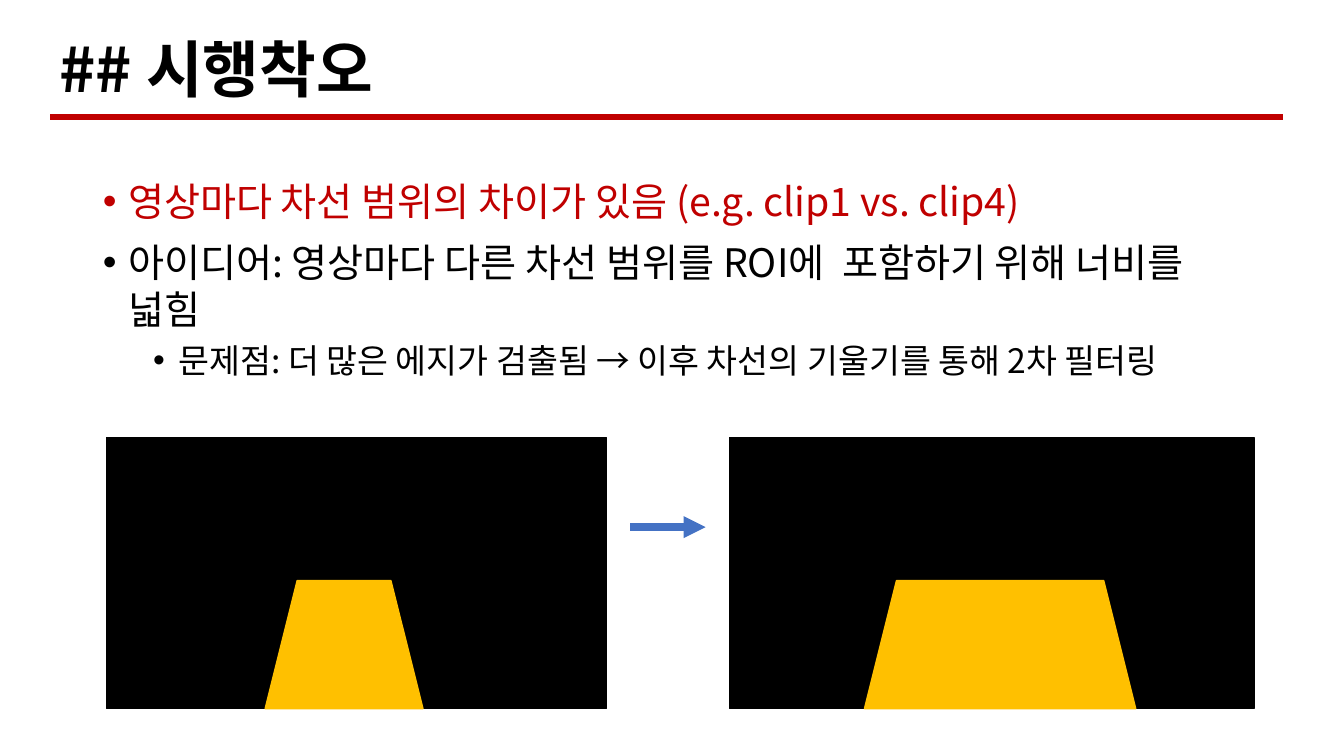
from lxml import etree
from pptx import Presentation
from pptx import util as u
from pptx.dml.color import RGBColor
from pptx.enum import shapes, text
from pptx.oxml.ns import qn

FONT = "Noto Sans CJK KR"
BLACK = RGBColor(0x00, 0x00, 0x00)
RED = RGBColor(0xC0, 0x00, 0x00)
AMBER = RGBColor(0xFF, 0xC0, 0x00)
BLUE = RGBColor(0x44, 0x72, 0xC4)

WIDTH, HEIGHT = u.Inches(13.33), u.Inches(7.5)
TEXT_WIDTH = 86.27
PANEL_TOP, PANEL_BOTTOM, LANE_TOP = 57.87, 93.73, 76.8

# text, level, size, colour, space before, left margin in inches
BULLETS = [
    ("영상마다 차선 범위의 차이가 있음 (e.g. clip1 vs. clip4)", 0, 28, RED, 0, 0.25),
    ("아이디어: 영상마다 다른 차선 범위를 ROI에  포함하기 위해 너비를 넓힘",
     0, 28, BLACK, 10, 0.25),
    ("문제점: 더 많은 에지가 검출됨 → 이후 차선의 기울기를 통해 2차 필터링",
     1, 24, BLACK, 5, 0.75),
]
# panel left, panel width, lane left, lane width
REGIONS = [(7.92, 37.2, 19.73, 11.74), (54.28, 39.04, 64.32, 20.18)]


def x(share):
    return int(WIDTH * share / 100)


def y(share):
    return int(HEIGHT * share / 100)


def place(sp, left, top, width, height):
    """Position a shape in percent of the slide."""
    box = {"left": x(left), "top": y(top), "width": x(width), "height": y(height)}
    for name, value in box.items():
        setattr(sp, name, value)


def write(p, words, color, **formats):
    r = p.add_run()
    r.text = words
    for name, value in {"name": FONT, **formats}.items():
        setattr(r.font, name, value)
    r.font.color.rgb = color
    return r


def add_title(s, words):
    sp = s.shapes.title
    place(sp, 3.68, 0, TEXT_WIDTH, 19.2)
    tf = sp.text_frame
    tf.auto_size = text.MSO_AUTO_SIZE.NONE
    tf.vertical_anchor = text.MSO_ANCHOR.MIDDLE
    p = tf.paragraphs[0]
    p.alignment = text.PP_ALIGN.LEFT
    p.line_spacing = 0.9
    r = write(p, words, BLACK, size=u.Pt(44), bold=True)
    etree.SubElement(r.font._element, qn("a:ea"), typeface=FONT)


def add_bullets(s, bullets):
    sp = s.placeholders[1]
    place(sp, 6.9, 22.8, TEXT_WIDTH, 63.47)
    tf = sp.text_frame
    tf.auto_size = text.MSO_AUTO_SIZE.NONE
    for i, (words, level, size, color, before, margin) in enumerate(bullets):
        p = tf.add_paragraph() if i else tf.paragraphs[0]
        pPr = p._p.get_or_add_pPr()
        pPr.set("marL", str(u.Inches(margin)))
        pPr.set("indent", str(u.Inches(-0.25)))
        etree.SubElement(pPr, qn("a:buFont"), typeface="Arial")
        etree.SubElement(pPr, qn("a:buChar"), char="•")
        formats = {"level": level, "alignment": text.PP_ALIGN.LEFT,
                   "line_spacing": 1.0, "space_before": u.Pt(before)}
        for name, value in formats.items():
            setattr(p, name, value)
        write(p, words, color, size=u.Pt(size))


def add_block(s, kind, left, top, width, color):
    """Add a solid shape that stands on the common bottom edge."""
    sp = s.shapes.add_shape(kind, 0, 0, 0, 0)
    place(sp, left, top, width, PANEL_BOTTOM - top)
    sp.shadow.inherit = False
    sp.fill.solid()
    sp.fill.fore_color.rgb = color
    sp.line.color.rgb = color
    sp.line.width = u.Pt(1)


def add_line(s, start, end, level, color, weight, arrow=False):
    sp = s.shapes.add_connector(shapes.MSO_CONNECTOR.STRAIGHT,
                                x(start), y(level), x(end), y(level))
    sp.line.color.rgb = color
    sp.line.width = u.Pt(weight)
    if arrow:
        etree.SubElement(sp.line._get_or_add_ln(), qn("a:tailEnd"), type="triangle")
    etree.SubElement(sp._element.spPr, qn("a:effectLst"))


def main():
    prs = Presentation()
    prs.slide_width, prs.slide_height = WIDTH, HEIGHT
    s = prs.slides.add_slide(prs.slide_layouts[1])
    add_title(s, "## 시행착오")
    add_line(s, 3.73, 95.46, 15.47, RED, 4)
    for panel_left, panel_width, lane_left, lane_width in REGIONS:
        add_block(s, shapes.MSO_SHAPE.RECTANGLE,
                  panel_left, PANEL_TOP, panel_width, BLACK)
        add_block(s, shapes.MSO_SHAPE.TRAPEZOID,
                  lane_left, LANE_TOP, lane_width, AMBER)
    add_line(s, 46.88, 52.5, 69.73, BLUE, 5.25, arrow=True)
    add_bullets(s, BULLETS)
    prs.save("out.pptx")


if __name__ == "__main__":
    main()
